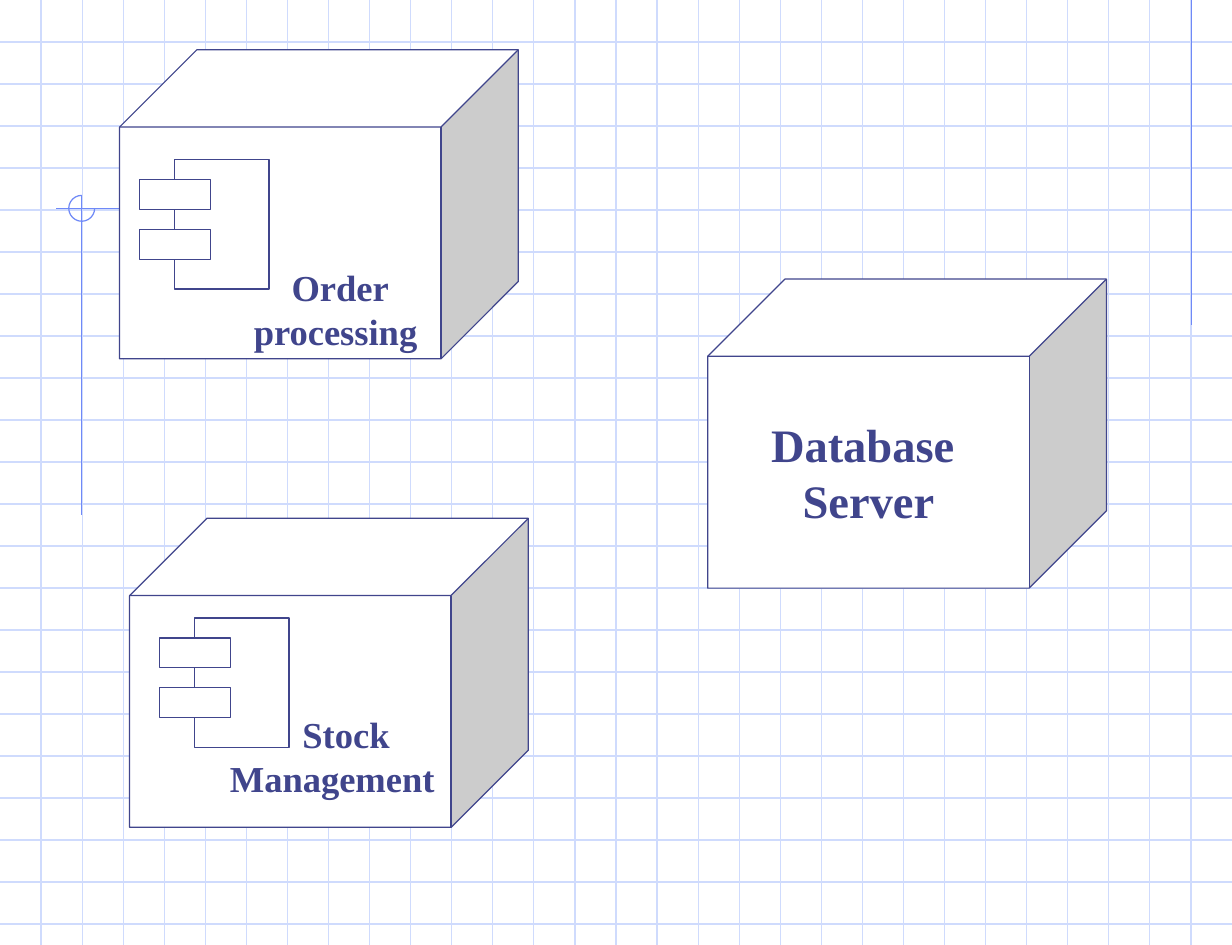
from pptx import Presentation
from pptx.dml.color import RGBColor
from pptx.enum.shapes import MSO_CONNECTOR as Link, MSO_SHAPE as Shape
from pptx.enum.text import MSO_ANCHOR as Anchor, PP_ALIGN as Align
from pptx.oxml.ns import qn
from pptx.util import Pt
from lxml.etree import SubElement

PX = 7620  # 120 px to the inch
WIDE, HIGH = 1236, 948
INK, GRID, MARK = "40458C", "CFDBFD", "6F89F7"

deck = Presentation()
deck.slide_width, deck.slide_height = WIDE * PX, HIGH * PX
slide = deck.slides.add_slide(deck.slide_layouts[6])
shapes = slide.shapes


def rule(x1, y1, x2, y2, color):
    """Draw a thin straight line without a shadow."""
    line = shapes.add_connector(Link.STRAIGHT, *(round(v * PX) for v in (x1, y1, x2, y2)))
    line.line.color.rgb = RGBColor.from_string(color)
    line.line.width = Pt(0.75)
    SubElement(line._element.spPr, qn("a:effectLst"))


def solid(kind, x, y, w, h, color=INK, fill="FFFFFF"):
    """Add an outlined shape, unfilled if fill is None."""
    shape = shapes.add_shape(kind, x * PX, y * PX, w * PX, h * PX)
    shape.shadow.inherit = False
    if fill:
        shape.fill.solid()
        shape.fill.fore_color.rgb = RGBColor.from_string(fill)
    else:
        shape.fill.background()
    shape.line.color.rgb = RGBColor.from_string(color)
    shape.line.width = Pt(0.75)
    return shape


# Graph paper
for row in range(1, 23):
    y = row * HIGH / 22.5
    rule(0, y, WIDE, y, GRID)
for col in range(1, 30):
    x = col * WIDE / 30
    rule(x, 0, x, HIGH, GRID)

# Margin marks
rule(1195, 0, 1195, 326, MARK)
rule(298, 209, 56, 209, MARK)
rule(82, 196, 82, 517, MARK)
arc = solid(Shape.ARC, 69, 196, 26, 26, MARK, None)
arc.adjustments[0] = 0
arc.adjustments[1] = 162  # 270 degrees

# Nodes: place, font size, anchor, left and bottom inset, lines with their indent
nodes = [
    (120, 50, 22, Anchor.BOTTOM, 126, 6, [("Order", 0), ("processing ", 0)]),
    (710, 280, 28, Anchor.MIDDLE, 12, 6, [("Database ", 0), ("Server", 0)]),
    (130, 520, 22, Anchor.BOTTOM, 90, 28, [("Stock ", 37), ("Management", 0)]),
]
for x, y, size, anchor, left, bottom, lines in nodes:
    cube = solid(Shape.CUBE, x, y, 400, 310)
    cube.adjustments[0] = 0.25
    frame = cube.text_frame
    frame.word_wrap = True
    frame.vertical_anchor = anchor
    frame.margin_left, frame.margin_bottom = left * PX, bottom * PX
    frame.margin_right = (12 if anchor == Anchor.MIDDLE else 6) * PX
    frame.margin_top = 6 * PX
    for i, (text, indent) in enumerate(lines):
        para = frame.add_paragraph() if i else frame.paragraphs[0]
        para.alignment = Align.CENTER
        if indent:
            para._p.get_or_add_pPr().set("marL", str(indent * PX))
        run = para.add_run()
        run.text = text
        run.font.name = "Times New Roman"
        run.font.size = Pt(size)
        run.font.bold = True
        run.font.color.rgb = RGBColor.from_string(INK)

# Component symbols
for x, y in [(160, 620), (140, 160)]:
    solid(Shape.RECTANGLE, x + 35, y, 95, 130)
    for drop in (20, 70):
        solid(Shape.RECTANGLE, x, y + drop, 71, 30)

deck.save("out.pptx")
